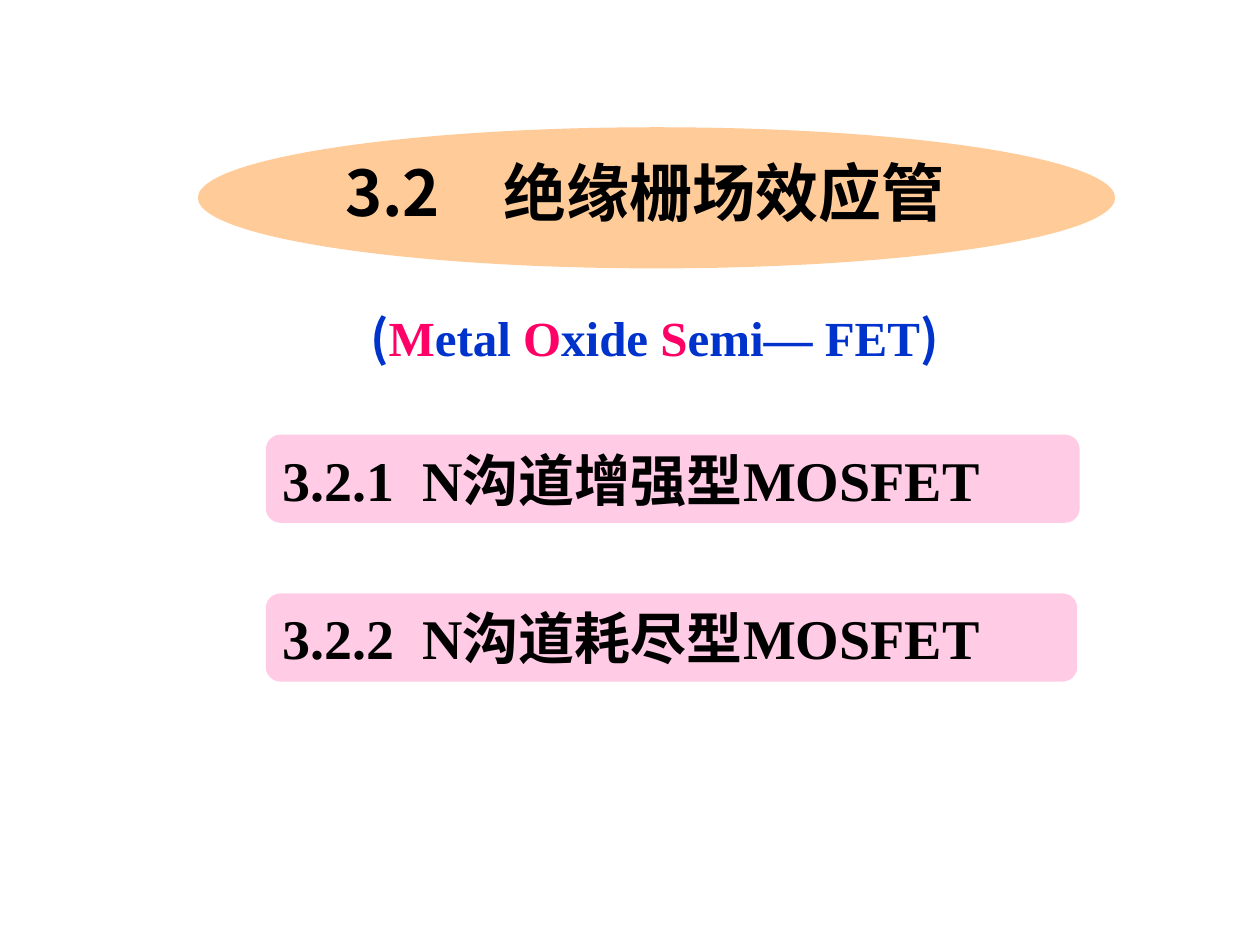
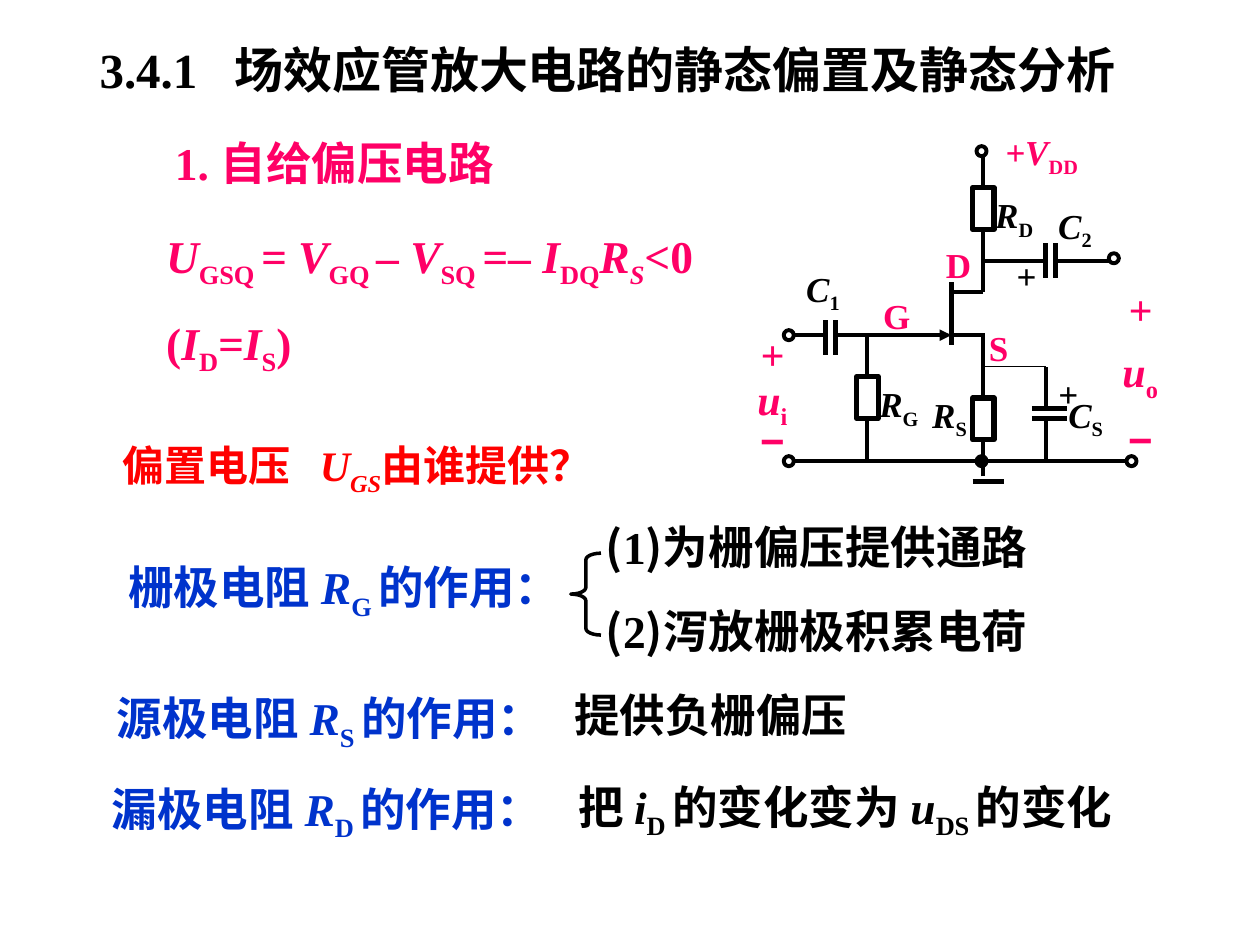
from lxml.etree import SubElement
from pptx import Presentation
from pptx.dml.color import RGBColor
from pptx.enum.shapes import MSO_CONNECTOR, MSO_SHAPE
from pptx.enum.text import MSO_ANCHOR, MSO_AUTO_SIZE, PP_ALIGN
from pptx.oxml.ns import qn
from pptx.util import Inches, Pt

BLACK = RGBColor(0x00, 0x00, 0x00)
WHITE = RGBColor(0xFF, 0xFF, 0xFF)
PINK = RGBColor(0xFF, 0x00, 0x66)
BLUE = RGBColor(0x00, 0x33, 0xCC)
RED = RGBColor(0xFF, 0x00, 0x00)
PEACH = RGBColor(0xFF, 0xCC, 0x99)
ROSE = RGBColor(0xFF, 0x99, 0xCC)
LATIN, CJK, SYMBOL = "Times New Roman", "Noto Sans CJK SC", "Arial"

# Run flags: i italic, s subscript, n CJK face, m symbol face, a accent colour
SECTION = [("3.2\u3000绝缘栅场效应管".replace("\u3000", "　"), "n")]
FULL_NAME = [("(", "n"), ("M", "a"), ("etal ", ""), ("O", "a"), ("xide ", ""),
             ("S", "a"), ("emi— FET", ""), (")", "n")]
TOPICS = [("3.2.1\tN沟道增强型MOSFET", 3.45, 6.46),
          ("3.2.2\tN沟道耗尽型MOSFET", 4.71, 6.44)]

HEADING = [("3.4.1\t场效应管放大电路的静态偏置及静态分析", "")]


def role(name, sub):
    return [(name + "极电阻 ", ""), ("R", "i"), (sub + " ", "s"), ("的作用：", "")]


def numbered(number, text):
    return [("(", "n"), (number, ""), (")", "n"), (text, "")]


NOTES = [
    (1.29, 1.02, 3.21, 0.57, 26, PINK, [("1. 自给偏压电路", "")]),
    (1.22, 1.76, 5.17, 0.6, 26, PINK,
     [("U", "i"), ("GSQ ", "s"), ("= V", "i"), ("GQ ", "s"), ("–", ""),
      (" V", "i"), ("SQ ", "s"), ("=", "i"), ("–", ""), (" I", "i"),
      ("DQ", "s"), ("R", "i"), ("S", "is"), ("<", "i"), ("0", "")]),
    (1.22, 2.45, 1.38, 0.6, 26, PINK,
     [("(", ""), ("I", "i"), ("D", "s"), ("=I", "i"), ("S", "s"), (")", "")]),
    (0.92, 4.39, 3.73, 0.6, 26, BLUE, role("栅", "G")),
    (0.83, 5.43, 3.77, 0.6, 26, BLUE, role("源", "S")),
    (0.79, 6.15, 3.77, 0.6, 26, BLUE, role("漏", "D")),
    (4.71, 4.07, 4.37, 0.54, 26, BLACK, numbered("1", "为栅偏压提供通路")),
    (4.71, 4.74, 4.11, 0.54, 26, BLACK, numbered("2", "泻放栅极积累电荷")),
    (4.46, 5.4, 3.45, 0.54, 26, BLACK, [("提供负栅偏压", "")]),
    (4.49, 6.13, 4.65, 1.03, 26, BLACK,
     [("把 ", ""), ("i", "i"), ("D ", "s"), ("的变化变为 ", ""), ("u", "i"),
      ("DS ", "s"), ("的变化", "")]),
]
QUESTION = [("偏置电压\t", ""), ("U", "i"), ("GS", "is"), ("由谁提供？", "")]

WIRES = [
    (7.55, 2.32, 7.8, 2.32), (7.55, 2.66, 7.8, 2.66), (7.8, 2.32, 7.8, 1.24),
    (7.8, 3.78, 7.8, 2.64), (7.8, 2.07, 8.8, 2.07), (6.22, 3.66, 8.97, 3.66),
    (6.88, 3.66, 6.88, 2.66), (8.3, 3.66, 8.3, 2.91),
]
GATE_WIRE = (6.3, 2.66, 7.55, 2.66)
SOURCE_BRANCH = (7.8, 2.91, 8.3, 2.91)
THICK_BARS = [(7.55, 2.24, 7.55, 2.74), (7.72, 3.82, 7.97, 3.82)]
RESISTORS = [(7.72, 1.49), (7.72, 3.16), (6.8, 2.99)]
CAPACITORS = [(6.59, 2.68, True), (8.34, 2.07, True), (8.33, 3.28, False)]
TERMINALS = [(7.75, 1.16), (8.8, 2.01), (8.94, 3.62), (6.22, 2.62), (6.22, 3.62)]
GROUND_NODE = (7.75, 3.62)
PARTS = [
    ("+V", "DD", 7.88, 0.99, 0.92, PINK), ("R", "D", 7.8, 1.49, 0.75, BLACK),
    ("C", "2", 8.3, 1.57, 0.75, BLACK), ("C", "S", 8.38, 3.07, 0.71, BLACK),
    ("C", "1", 6.3, 2.07, 0.58, BLACK), ("R", "G", 6.88, 2.99, 0.75, BLACK),
    ("R", "S", 7.3, 3.07, 0.75, BLACK),
]
MARKS = [
    ("+", "i", 8.3, 2.91, 0.36, BLACK), ("+", "", 7.97, 1.97, 0.36, BLACK),
    ("G", "", 6.91, 2.29, 0.41, PINK), ("S", "", 7.75, 2.54, 0.35, PINK),
    ("D", "", 7.41, 1.88, 0.4, PINK),
]
PORTS = [("o", 8.81, 2.09, 0.48, 1.67, 1.2), ("i", 5.91, 2.61, 0.44, 1.15, 0.8)]


def inches(*values):
    return [Inches(v) for v in values]


def write(p, runs, size, color, tab=None):
    if tab:
        tabs = SubElement(p._p.get_or_add_pPr(), qn("a:tabLst"))
        SubElement(tabs, qn("a:tab"), pos=str(Inches(tab)), algn="l")
    for text, flags in runs:
        r = p.add_run()
        r.text = text
        f = r.font
        f.size, f.bold, f.italic = Pt(size), True, "i" in flags
        f.name = CJK if "n" in flags else SYMBOL if "m" in flags else LATIN
        f.color.rgb = PINK if "a" in flags else color
        rPr = r._r.get_or_add_rPr()
        if "s" in flags:
            rPr.set("baseline", "-25000")
        rPr.find(qn("a:latin")).addnext(rPr.makeelement(qn("a:ea"), {"typeface": CJK}))


def add_text(s, box, size, color, runs, tab=None):
    tf = s.shapes.add_textbox(*inches(*box)).text_frame
    tf.word_wrap = True
    tf.auto_size = MSO_AUTO_SIZE.SHAPE_TO_FIT_TEXT
    write(tf.paragraphs[0], runs, size, color, tab)


def set_title(s, box, size, runs, tab=None):
    title = s.shapes.title
    title.left, title.top, title.width, title.height = inches(*box)
    tf = title.text_frame
    tf.word_wrap, tf.auto_size = True, MSO_AUTO_SIZE.NONE
    tf.vertical_anchor = MSO_ANCHOR.TOP
    p = tf.paragraphs[0]
    p.alignment = PP_ALIGN.LEFT
    write(p, runs, size, BLACK, tab)


def add_shape(s, kind, box, fill=None, weight=None):
    sp = s.shapes.add_shape(kind, *inches(*box))
    sp.shadow.inherit = False
    if fill is None:
        sp.fill.background()
    else:
        sp.fill.solid()
        sp.fill.fore_color.rgb = fill
    if weight is None:
        sp.line.fill.background()
    else:
        sp.line.color.rgb, sp.line.width = BLACK, Pt(weight)
    return sp


def add_line(s, ends, weight=2.25, arrow=False):
    c = s.shapes.add_connector(MSO_CONNECTOR.STRAIGHT, *inches(*ends))
    c.line.color.rgb, c.line.width = BLACK, Pt(weight)
    if arrow:
        SubElement(c.line._get_or_add_ln(), qn("a:tailEnd"), type="triangle")
    SubElement(c._element.spPr, qn("a:effectLst"))


def add_capacitor(s, x, y, upright):
    gap, reach, mask = 0.04, 0.14, 0.12
    dx, dy = (gap, mask) if upright else (mask, gap)
    add_shape(s, MSO_SHAPE.RECTANGLE, (x - dx, y - dy, 2 * dx, 2 * dy), WHITE)
    for d in (-gap, gap):
        if upright:
            add_line(s, (x + d, y - reach, x + d, y + reach), 3)
        else:
            add_line(s, (x - reach, y + d, x + reach, y + d), 3)


def add_port(s, sub, left, top, width, height, spacing):
    tf = s.shapes.add_textbox(*inches(left, top, width, height)).text_frame
    tf.word_wrap, tf.vertical_anchor = False, MSO_ANCHOR.MIDDLE
    tf.auto_size = MSO_AUTO_SIZE.SHAPE_TO_FIT_TEXT
    lines = [[("+", "i")], [("u", "i"), (sub, "s")], [("−", "m")]]
    for i, runs in enumerate(lines):
        p = tf.add_paragraph() if i else tf.paragraphs[0]
        p.alignment, p.line_spacing = PP_ALIGN.CENTER, spacing
        write(p, runs, 24, PINK)


def build_section(s):
    ellipse = add_shape(s, MSO_SHAPE.OVAL, (1.57, 1.01, 7.28, 1.12), PEACH)
    s.shapes.title._element.addprevious(ellipse._element)
    set_title(s, (2.64, 1.17, 5.15, 0.79), 36, SECTION)
    add_text(s, (2.84, 2.39, 4.87, 0.57), 28, BLUE, FULL_NAME)
    for text, top, width in TOPICS:
        sp = add_shape(s, MSO_SHAPE.ROUNDED_RECTANGLE, (2.11, top, width, 0.7), ROSE)
        color = sp.fill._xPr.find(qn("a:solidFill"))[0]
        SubElement(color, qn("a:alpha"), val="50000")
        tf = sp.text_frame
        tf.vertical_anchor = MSO_ANCHOR.TOP
        p = tf.paragraphs[0]
        p.alignment = PP_ALIGN.LEFT
        write(p, [(text, "")], 32, BLACK, 1.11)


def build_circuit(s):
    for ends in WIRES:
        add_line(s, ends)
    add_line(s, GATE_WIRE, arrow=True)
    add_line(s, SOURCE_BRANCH, 0.75)
    for ends in THICK_BARS:
        add_line(s, ends, 3)
    for x, y in RESISTORS:
        add_shape(s, MSO_SHAPE.RECTANGLE, (x, y, 0.17, 0.33), WHITE, 3)
    for x, y, upright in CAPACITORS:
        add_capacitor(s, x, y, upright)
    for x, y in TERMINALS:
        add_shape(s, MSO_SHAPE.OVAL, (x, y, 0.08, 0.08), WHITE, 2.25)
    add_shape(s, MSO_SHAPE.OVAL, (*GROUND_NODE, 0.08, 0.08), BLACK, 2.25)
    for name, sub, x, y, width, color in PARTS:
        add_text(s, (x, y, width, 0.48), 20, color, [(name, "i"), (sub, "s")])
    for text, flags, x, y, width, color in MARKS:
        add_text(s, (x, y, width, 0.44), 20, color, [(text, flags)])
    for port in PORTS:
        add_port(s, *port)


def build_bias(s):
    set_title(s, (0.69, 0.26, 8.42, 0.57), 28, HEADING, 1.07)
    build_circuit(s)
    for *box, size, color, runs in NOTES:
        add_text(s, box, size, color, runs)
    brace = add_shape(s, MSO_SHAPE.LEFT_BRACE, (4.53, 4.39, 0.24, 0.65), weight=2)
    brace.adjustments[0] = 0.22
    add_text(s, (0.87, 3.44, 3.98, 0.56), 24, RED, QUESTION, 1.57)


def main():
    prs = Presentation()
    prs.slide_width, prs.slide_height = inches(10, 7.5)
    for build in (build_section, build_bias):
        build(prs.slides.add_slide(prs.slide_layouts[5]))
    prs.save("out.pptx")


if __name__ == "__main__":
    main()
